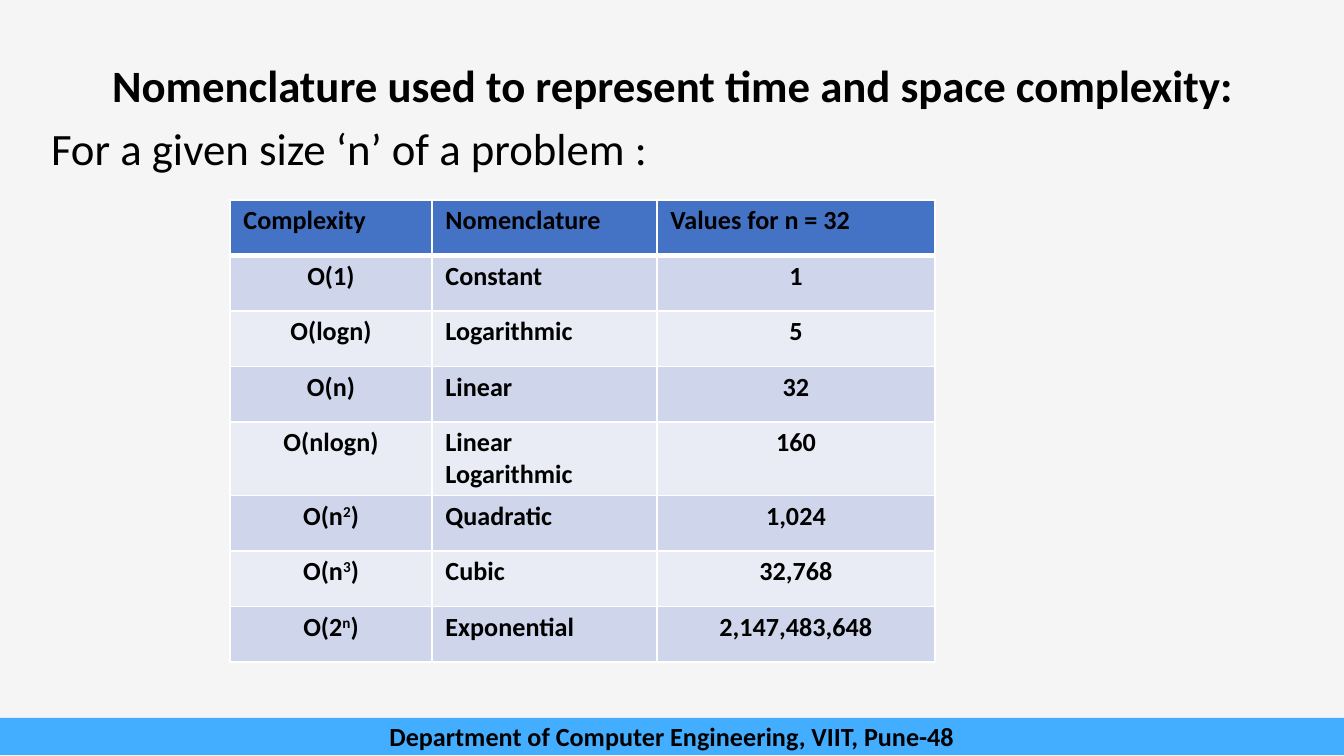
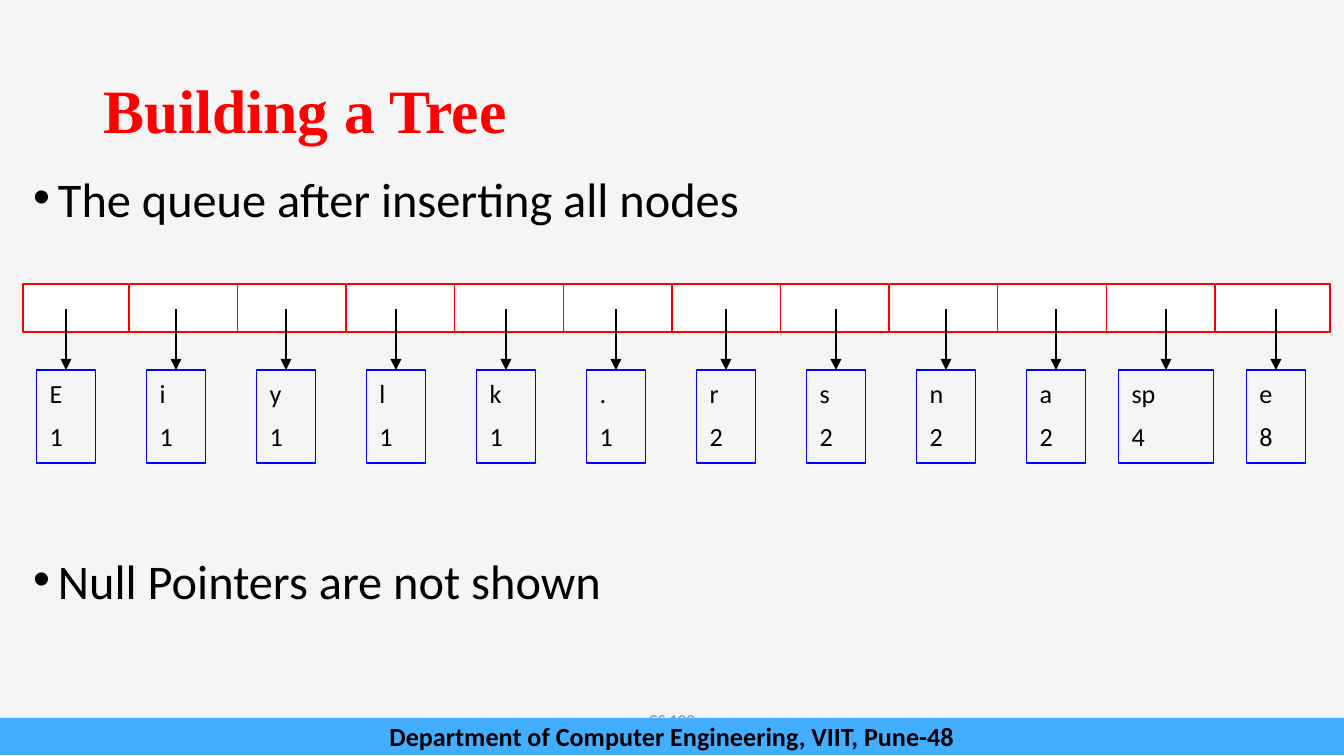
from lxml.etree import SubElement
from pptx import Presentation
from pptx.dml.color import RGBColor
from pptx.enum.shapes import MSO_CONNECTOR, MSO_SHAPE
from pptx.enum.text import MSO_ANCHOR, MSO_AUTO_SIZE, PP_ALIGN
from pptx.oxml.ns import qn
from pptx.util import Emu, Pt

# Shared look
BACKGROUND, BLACK, WHITE, GREY = "F5F5F5", "000000", "FFFFFF", "8C8C8C"
RED, BLUE, BAND_BLUE = "FF0000", "0000FF", "43AEFF"
HEADER_BLUE, ROW_TINTS = "4472C4", ("CFD5EA", "E9EBF5")
LEFT, CENTER = PP_ALIGN.LEFT, PP_ALIGN.CENTER
FOOTER = "Department of Computer Engineering, VIIT, Pune-48"
FOOTER_BOX = (0, 718, 1344, 37)

# Complexity slide; text between ^ signs is raised
COMPLEXITY_TITLE = "Nomenclature used to represent time and space complexity:"
PROBLEM_SIZE = "For a given size ‘n’ of a problem :"
COMPLEXITIES = [
    ("Complexity", "Nomenclature", "Values for n = 32"),
    ("O(1)", "Constant", "1"),
    ("O(logn)", "Logarithmic", "5"),
    ("O(n)", "Linear", "32"),
    ("O(nlogn)", "Linear Logarithmic", "160"),
    ("O(n^2^)", "Quadratic", "1,024"),
    ("O(n^3^)", "Cubic", "32,768"),
    ("O(2^n^)", "Exponential", "2,147,483,648"),
]
COLUMN_WIDTHS = (202, 225, 278)
COLUMN_ALIGNS = (CENTER, LEFT, CENTER)

# Tree slide
TREE_TITLE = "Building a Tree"
TREE_POINTS = ["The queue after inserting all nodes", "Null Pointers are not shown"]
COURSE = "CS 102"
NODES = [("E", 1), ("i", 1), ("y", 1), ("l", 1), ("k", 1), (".", 1),
         ("r", 2), ("s", 2), ("n", 2), ("a", 2), ("sp", 4), ("e", 8)]


def px(length):
    return Emu(round(length * 914400 / 134.4))


def rgb(color):
    return RGBColor.from_string(color)


def set_font(paragraph, size, color=BLACK, bold=False, name="Calibri"):
    font = paragraph.font
    font.size, font.bold, font.name = Pt(size), bold, name
    font.color.rgb = rgb(color)


def place(shape, box):
    shape.left, shape.top, shape.width, shape.height = map(px, box)


def write(shape, lines, size, align=LEFT, anchor=MSO_ANCHOR.TOP, inset=(10, 5),
          spacing=1.0, gap=0, bullet_indent=0, **font):
    frame = shape.text_frame
    frame.word_wrap, frame.auto_size = True, MSO_AUTO_SIZE.NONE
    frame.vertical_anchor = anchor
    frame.margin_left = frame.margin_right = px(inset[0])
    frame.margin_top = frame.margin_bottom = px(inset[1])
    for index, line in enumerate(lines):
        paragraph = frame.add_paragraph() if index else frame.paragraphs[0]
        paragraph.text = line
        paragraph.alignment, paragraph.line_spacing = align, spacing
        paragraph.space_before = Pt(gap if index else 0)
        if bullet_indent:
            properties = paragraph._p.get_or_add_pPr()
            properties.set("marL", str(px(bullet_indent)))
            properties.set("indent", str(-px(bullet_indent)))
            SubElement(properties, qn("a:buFont")).set("typeface", "Arial")
            SubElement(properties, qn("a:buChar")).set("char", "•")
        set_font(paragraph, size, **font)


def add_text(slide, box, lines, size, **style):
    write(slide.shapes.add_textbox(*map(px, box)), lines, size, **style)


def add_box(slide, box, fill=None, line=None):
    shape = slide.shapes.add_shape(MSO_SHAPE.RECTANGLE, *map(px, box))
    shape.shadow.inherit = False
    if fill:
        shape.fill.solid()
        shape.fill.fore_color.rgb = rgb(fill)
    else:
        shape.fill.background()
    if line:
        shape.line.color.rgb, shape.line.width = rgb(line), Pt(0.75)
    else:
        shape.line.fill.background()
    return shape


def add_line(slide, x, top, bottom, color, arrow=False):
    line = slide.shapes.add_connector(MSO_CONNECTOR.STRAIGHT, px(x), px(top), px(x), px(bottom))
    line.line.color.rgb, line.line.width = rgb(color), Pt(0.75)
    properties = line._element.spPr
    if arrow:
        SubElement(properties.find(qn("a:ln")), qn("a:tailEnd")).set("type", "triangle")
    SubElement(properties, qn("a:effectLst"))
    return line


def start_slide(deck, title, box, size, **style):
    slide = deck.slides.add_slide(deck.slide_layouts[5])
    slide.background.fill.solid()
    slide.background.fill.fore_color.rgb = rgb(BACKGROUND)
    place(slide.shapes.title, box)
    write(slide.shapes.title, [title], size, spacing=0.9, bold=True, **style)
    return slide


def add_footer(slide):
    write(add_box(slide, FOOTER_BOX, fill=BAND_BLUE), [FOOTER], 14,
          align=CENTER, anchor=MSO_ANCHOR.MIDDLE, bold=True)


def border_cell(cell, bottom_width):
    properties = cell._tc.get_or_add_tcPr()
    for side, width in (("L", 1), ("R", 1), ("T", 1), ("B", bottom_width)):
        edge = SubElement(properties, qn(f"a:ln{side}"), w=str(Pt(width)))
        fill = SubElement(edge, qn("a:solidFill"))
        SubElement(fill, qn("a:srgbClr")).set("val", WHITE)


def add_complexity_table(slide):
    table = slide.shapes.add_table(len(COMPLEXITIES), len(COLUMN_WIDTHS), px(230), px(200),
                                   px(sum(COLUMN_WIDTHS)), px(444)).table
    table.first_row = table.horz_banding = False
    for column, width in zip(table.columns, COLUMN_WIDTHS):
        column.width = px(width)
    for row, entries in enumerate(COMPLEXITIES):
        for column, entry in enumerate(entries):
            cell = table.cell(row, column)
            border_cell(cell, 1 if row else 3)
            cell.fill.solid()
            cell.fill.fore_color.rgb = rgb(ROW_TINTS[(row - 1) % 2] if row else HEADER_BLUE)
            cell.margin_top = cell.margin_bottom = px(5)
            paragraph = cell.text_frame.paragraphs[0]
            paragraph.alignment = COLUMN_ALIGNS[column] if row else LEFT
            set_font(paragraph, 14, bold=True)
            for index, piece in enumerate(entry.split("^")):
                run = paragraph.add_run()
                run.text = piece
                if index % 2:
                    run._r.get_or_add_rPr().set("baseline", "30000")


def add_queue(slide):
    top, height = 284, 48
    add_box(slide, (23, top, 1307, height), fill=WHITE, line=RED)
    for index in range(len(NODES) - 1):
        add_line(slide, 129 + 108.6 * index, top, top + height, RED)
    # Each cell points at its node
    node_top = 370
    for index, (letter, count) in enumerate(NODES):
        center = 66 + 110 * index
        width = 59 if len(letter) == 1 else 95
        node = add_box(slide, (center - width / 2, node_top, width, 93), line=BLUE)
        write(node, [letter, str(count)], 14, inset=(13, 7), gap=6.5)
        add_line(slide, center, 309, node_top, BLACK, arrow=True).end_connect(node, 0)


def main():
    deck = Presentation()
    deck.slide_width, deck.slide_height = px(1344), px(756)

    # Complexity names
    slide = start_slide(deck, COMPLEXITY_TITLE, (102, 59, 1188, 56), 24)
    add_text(slide, (41, 122, 1249, 58), [PROBLEM_SIZE], 24, spacing=0.9)
    add_complexity_table(slide)
    add_footer(slide)

    # Queue of tree nodes
    slide = start_slide(deck, TREE_TITLE, (93, 40, 1159, 147), 33, anchor=MSO_ANCHOR.MIDDLE,
                        color=RED, name="Times New Roman")
    add_text(slide, (445, 700, 454, 40), [COURSE], 9, align=CENTER,
             anchor=MSO_ANCHOR.MIDDLE, color=GREY)
    add_text(slide, (23, 180, 1321, 454), TREE_POINTS, 25.9, spacing=0.7,
             gap=183, bullet_indent=25)
    add_queue(slide)
    add_footer(slide)

    deck.save("out.pptx")


if __name__ == "__main__":
    main()
